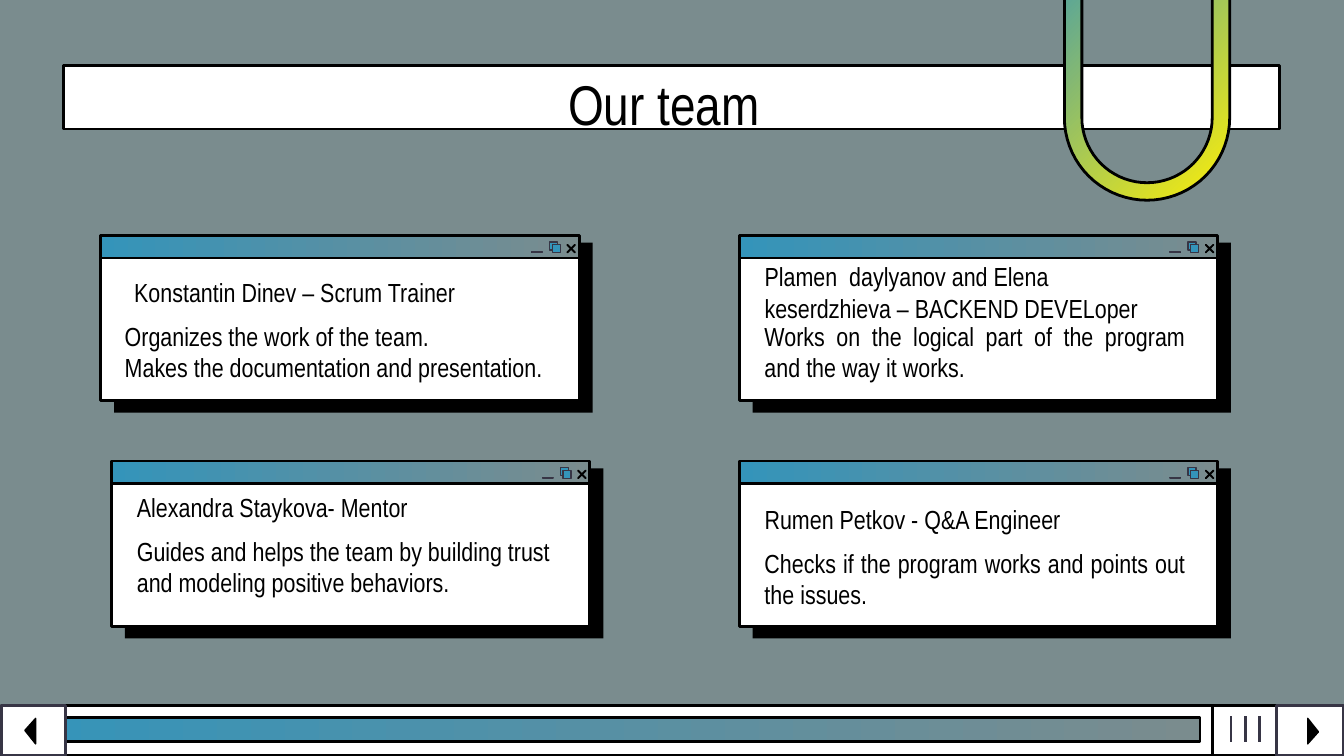
import math

from lxml import etree
from pptx import Presentation
from pptx.dml.color import RGBColor
from pptx.enum import shapes, text
from pptx.oxml.ns import qn
from pptx.util import Emu, Inches, Pt

W, H = Inches(10), Inches(5.625)
U = W / 100  # the grid: 100 columns, square rows
ROWS = H / U
FONT = "Arial Narrow"
COLORS = {"bg": "7A8C8E", "blue": "3494BA", "yellow": "FDEF08",
          "white": "FFFFFF", "black": "000000", "ink": "373545"}
SHAPE = shapes.MSO_SHAPE
ALIGN = text.PP_ALIGN
ANCHOR = text.MSO_ANCHOR

# column, row, heading offset (x, y), body offset x, body alignment, heading, body
TEAM = [
    (55, 17.5, (0.9, 2.6), 0.9, ALIGN.JUSTIFY,
     "Plamen  daylyanov and Elena keserdzhieva – BACKEND DEVELoper",
     "Works on the logical part of the program and the way it works."),
    (55, 34.3, (0.9, 2.7), 0.9, ALIGN.JUSTIFY,
     "Rumen Petkov - Q&A Engineer",
     "Checks if the program works and points out the issues."),
    (7.5, 17.5, (1.5, 2.6), 0.8, ALIGN.LEFT,
     "Konstantin Dinev – Scrum Trainer",
     "Organizes the work of the team.\nMakes the documentation and presentation."),
    (8.3, 34.3, (0.9, 1.8), 0.9, ALIGN.LEFT,
     "Alexandra Staykova- Mentor",
     "Guides and helps the team by building trust and modeling positive behaviors."),
]


def grid(*cells):
    return [Emu(round(c * U)) for c in cells]


def rgb(name):
    return RGBColor.from_string(COLORS[name])


def paint(sp, fill, line="black", width=1.5, angle=180):
    """Fill with one colour name, or with a pair of names as a gradient."""
    sp.shadow.inherit = False
    if isinstance(fill, tuple):
        sp.fill.gradient()
        sp.fill.gradient_angle = angle
        for stop, name, pos in zip(sp.fill.gradient_stops, fill, (0, 1)):
            stop.color.rgb = rgb(name)
            stop.position = pos
    else:
        sp.fill.solid()
        sp.fill.fore_color.rgb = rgb(fill)
    if line:
        sp.line.color.rgb = rgb(line)
        sp.line.width = Pt(width)
    else:
        sp.line.fill.background()


def add_part(s, box, fill, line="black", width=1.5, kind=SHAPE.RECTANGLE,
             adj=None, turn=0):
    sp = s.shapes.add_shape(kind, *grid(*box))
    paint(sp, fill, line, width)
    if adj is not None:
        sp.adjustments[0] = adj
    sp.rotation = turn
    return sp


def add_text(s, box, words, size, align=ALIGN.LEFT, anchor=ANCHOR.MIDDLE):
    tf = s.shapes.add_textbox(*grid(*box)).text_frame
    tf.word_wrap = True
    tf.vertical_anchor = anchor
    tf.margin_left = tf.margin_right = tf.margin_top = tf.margin_bottom = grid(1)[0]
    tf.text = words
    for p in tf.paragraphs:
        p.alignment = align
        for r in p.runs:
            r.font.name = FONT
            r.font.size = Pt(size)
            r.font.color.rgb = rgb("black")


def add_title(s, x, y, w, h):
    add_part(s, (x, y, w, h), "white")
    add_text(s, (x + 10.5, y - 0.7, 68.4, 6.3), "Our team", 30, ALIGN.CENTER, ANCHOR.TOP)


def add_window(s, x, y, w, h, head_at, body_dx, align, heading, body):
    bar = 1.7
    # Shadow, title bar and pane
    add_part(s, (x + 1, y + 0.55, w, h + 0.35), "black", None)
    add_part(s, (x, y, w, bar), ("bg", "blue"))
    add_part(s, (x, y + bar, w, h - bar), "white")
    # Window buttons
    right = x + w
    for dx, dy in ((2.2, 0.5), (2, 0.7)):
        add_part(s, (right - dx, y + dy, 0.6, 0.6), "blue", "ink", 0.75)
    add_part(s, (right - 1.15, y + 0.45, 1.1, 1.1), "black", "black", 0.75,
             SHAPE.MATH_MULTIPLY, 0.04)
    add_part(s, (right - 3.7, y + 1.15, 1.1, 0.2), "black", "ink", 0.75,
             SHAPE.MATH_MINUS, 0.24)
    # Person and role
    dx, dy = head_at
    add_text(s, (x + dx, y + dy, 31.9, 3.3), heading, 14)
    add_text(s, (x + body_dx, y + dy + 3.2, 33.3, 5.7), body, 14, align)


def add_scroll_bar(s, x, y, w, h):
    # Track, bar and grip
    add_part(s, (x, y, w, h), "white")
    add_part(s, (x + 0.9, y + 0.9, 88.3, h - 1.9), ("bg", "blue"))
    add_part(s, (x + 90.1, y, 4.8, h), "white")
    for i in range(3):
        col = x + 91.5 + 1.05 * i
        cn = s.shapes.add_connector(shapes.MSO_CONNECTOR.STRAIGHT,
                                    *grid(col, y + 0.8, col, y + 2.7))
        cn.line.color.rgb = rgb("ink")
        cn.line.width = Pt(1.5)
        etree.SubElement(cn._element.spPr, qn("a:effectLst"))
    # Arrow buttons
    for left, width, arrow, turn in ((x, 4.8, 1.2, 270), (x + 94.9, 5, 1.75, 90)):
        add_part(s, (left, y, width, h), "white", "ink")
        add_part(s, (left + arrow, y + 1.5, 1.9, 0.8), "black", "black", 0.75,
                 SHAPE.ISOSCELES_TRIANGLE, 0.53, turn)


def add_clip(s, x, y, w, h, band):
    """A U-shaped band: two legs joined by a half ring at the bottom."""
    outer = w / 2
    cx, cy = x + outer, y + h - outer

    def arc(radius, angles):
        return [(cx + radius * math.cos(math.radians(a)),
                 cy + radius * math.sin(math.radians(a))) for a in angles]

    points = [(x + w, y), *arc(outer, range(0, 181, 5)), (x, y), (x + band, y),
              *arc(outer - band, range(180, -1, -5)), (x + w - band, y)]
    points = [grid(*point) for point in points]
    fb = s.shapes.build_freeform(*points[0])
    fb.add_line_segments(points[1:], close=True)
    paint(fb.convert_to_shape(), ("blue", "yellow"), angle=315)


def main():
    prs = Presentation()
    prs.slide_width, prs.slide_height = W, H
    s = prs.slides.add_slide(prs.slide_layouts[6])
    s.background.fill.solid()
    s.background.fill.fore_color.rgb = rgb("bg")

    add_title(s, 4.7, 4.9, 90.5, 4.7)
    for x, y, *content in TEAM:
        add_window(s, x, y, 35.6, 12.3, *content)
    add_scroll_bar(s, 0.1, ROWS - 3.75, 99.8, 3.7)
    add_clip(s, 79.2, -7.2, 12.3, 22.1, 1.3)
    prs.save("out.pptx")


if __name__ == "__main__":
    main()
